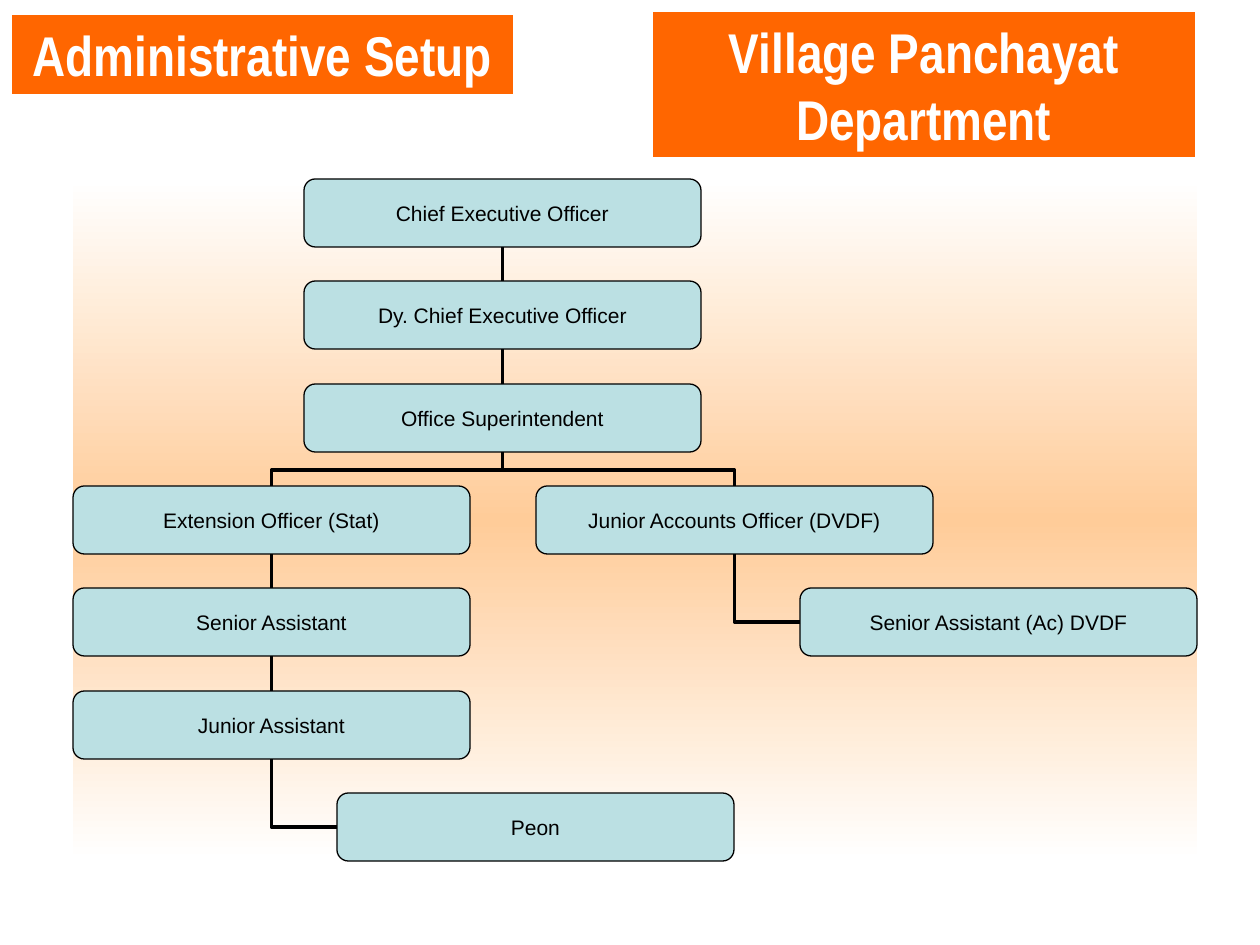
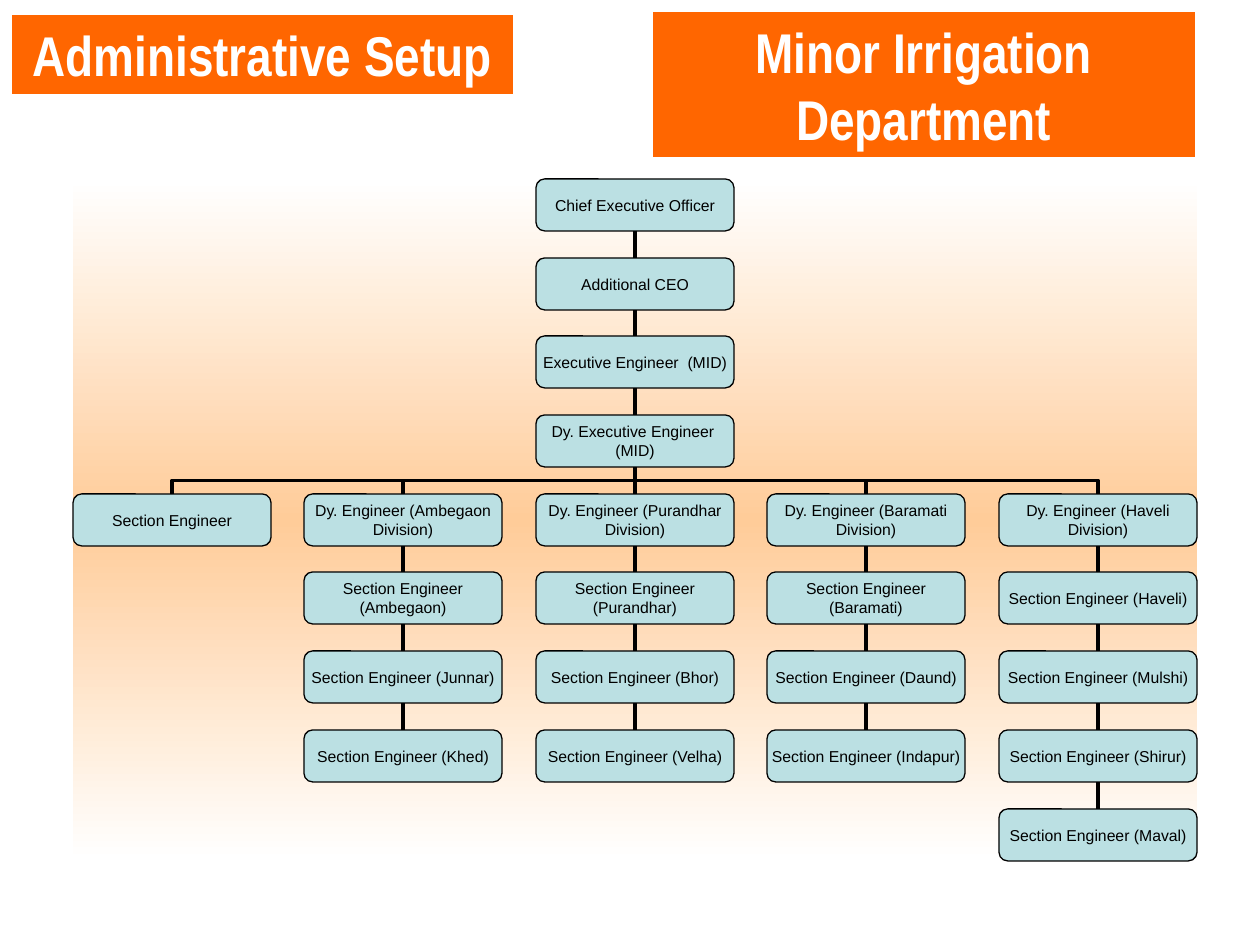
import copy
from dataclasses import dataclass

from lxml import etree
from pptx import Presentation, util as u
from pptx.dml.color import RGBColor
from pptx.enum import shapes, text
from pptx.oxml.ns import qn

PX_PER_INCH = 126
SLIDE_SIZE = (1260, 945)
ORANGE, PEACH, BLUE, WHITE, BLACK = "FF6600", "FFCC99", "BBE0E3", "FFFFFF", "000000"
SETUP_BOX = (11, 14, 503, 81)
DEPARTMENT_BOX = (652, 11, 544, 147)
CHART_BOX = (73, 179, 1124, 682)
CHART_UNITS = 17


@dataclass
class Post:
    """A post in a chart, with its left edge in chart units."""
    name: str
    column: float
    children: tuple = ()
    hangs: bool = False


def px(length):
    """Turn pixels into EMU."""
    return u.Inches(length / PX_PER_INCH)


def color(value):
    """Turn a hex string into a colour."""
    return RGBColor.from_string(value)


def paint(shape, fill, line, width):
    """Give a shape a plain fill and outline without shadow."""
    shape.fill.solid()
    shape.fill.fore_color.rgb = color(fill)
    shape.line.color.rgb = color(line)
    shape.line.width = u.Pt(width)


def write(shape, words, size, font="Arial", ink=BLACK, bold=False,
          anchor=text.MSO_ANCHOR.MIDDLE, insets=(0, 0)):
    """Write one centred paragraph in a shape."""
    frame = shape.text_frame
    frame.word_wrap = True
    frame.auto_size = text.MSO_AUTO_SIZE.NONE
    frame.vertical_anchor = anchor
    frame.margin_left = frame.margin_right = u.Inches(insets[0])
    frame.margin_top = frame.margin_bottom = u.Inches(insets[1])
    paragraph = frame.paragraphs[0]
    paragraph.alignment = text.PP_ALIGN.CENTER
    run = paragraph.add_run()
    run.text = words
    run.font.size = u.Pt(size)
    run.font.name = font
    run.font.bold = bold
    run.font.color.rgb = color(ink)


def add_box(slide, kind, box):
    """Add a preset shape without shadow."""
    shape = slide.shapes.add_shape(kind, *map(px, box))
    shape.shadow.inherit = False
    return shape


def format_banner(shape, words):
    """Format a shape as an orange heading band."""
    paint(shape, ORANGE, WHITE, 1)
    write(shape, words, 32, font="Arial Narrow", ink=WHITE, bold=True,
          anchor=text.MSO_ANCHOR.TOP, insets=(0.1, 0.05))


def add_panel(slide, box):
    """Add the panel that fades from white to peach and back."""
    panel = add_box(slide, shapes.MSO_SHAPE.RECTANGLE, box)
    panel.line.fill.background()
    panel.fill.gradient()
    panel.fill.gradient_angle = 90
    stop_list = panel.fill._xPr.find(".//" + qn("a:gsLst"))
    stop_list.append(copy.deepcopy(stop_list[0]))
    for stop, position, shade in zip(panel.fill.gradient_stops, (0, 0.5, 1), (WHITE, PEACH, WHITE)):
        stop.position = position
        stop.color.rgb = color(shade)


def add_line(slide, kind, begin, end):
    """Add a black connector between two points in EMU."""
    connector = slide.shapes.add_connector(kind, *map(round, (*begin, *end)))
    connector.line.color.rgb = color(BLACK)
    connector.line.width = u.Pt(2.25)
    etree.SubElement(connector._element.spPr, qn("a:effectLst"))
    return connector


def join(slide, parent, child, hangs, bend):
    """Join a parent's bottom to its child's top, or to the side of a hanging child."""
    parent_x, parent_y = parent.left + parent.width / 2, parent.top + parent.height
    child_x, child_y = child.left + child.width / 2, child.top
    elbow = shapes.MSO_CONNECTOR.ELBOW
    if hangs:
        connector = add_line(slide, elbow, (parent_x, parent_y),
                             (child.left, child.top + child.height / 2))
        connector._element.spPr.find(qn("a:prstGeom")).set("prst", "bentConnector2")
        connector.rotation = 180
    elif parent_x == child_x:
        connector = add_line(slide, shapes.MSO_CONNECTOR.STRAIGHT,
                             (child_x, child_y), (parent_x, parent_y))
        connector.begin_connect(child, 0)
        connector.end_connect(parent, 2)
    else:
        middle_x, middle_y = (parent_x + child_x) / 2, (parent_y + child_y) / 2
        side = 1 if child_x > parent_x else -1
        half_width = side * (child_y - parent_y) / 2
        half_height = abs(child_x - parent_x) / 2
        connector = add_line(slide, elbow, (middle_x + half_width, middle_y - half_height),
                             (middle_x - half_width, middle_y + half_height))
        connector.rotation = side * 90 % 360
        geometry = connector._element.spPr.find(qn("a:prstGeom"))
        etree.SubElement(geometry.find(qn("a:avLst")), qn("a:gd"),
                         name="adj1", fmla=f"val {round(bend * 100000)}")


def count_rows(post):
    """Count the levels from a post down."""
    return 1 + max(map(count_rows, post.children), default=0)


def add_chart_tree(slide, box, top_post, post_units, size, bend):
    """Fill a box with the panel and the tree of posts."""
    left, top, width, height = box
    unit_x, unit_y = width / CHART_UNITS, height / (3 * count_rows(top_post) - 1)

    def add_post(post, row):
        """Add a post and all posts below it."""
        shape = add_box(slide, shapes.MSO_SHAPE.ROUNDED_RECTANGLE,
                        (left + round(post.column * unit_x), top + round(3 * row * unit_y),
                         round(post_units * unit_x), round(2 * unit_y)))
        paint(shape, BLUE, BLACK, 0.75)
        write(shape, post.name, size)
        for child in post.children:
            join(slide, shape, add_post(child, row + 1), child.hangs, bend)
        return shape

    add_panel(slide, box)
    add_post(top_post, 0)


def chain(column, *names, children=()):
    """Stack posts in one column, with the given children under the last."""
    for name in reversed(names):
        children = (Post(name, column, children),)
    return children[0]


def add_department_slide(presentation, department, *chart):
    """Add a slide with two banners and a department's chart."""
    slide = presentation.slides.add_slide(presentation.slide_layouts[5])
    title = slide.shapes.title
    title.left, title.top, title.width, title.height = map(px, DEPARTMENT_BOX)
    format_banner(title, department)
    format_banner(add_box(slide, shapes.MSO_SHAPE.RECTANGLE, SETUP_BOX), "Administrative Setup")
    add_chart_tree(slide, CHART_BOX, *chart)


def village_posts():
    """Return the posts of the village department."""
    peon = Post("Peon", 4, hangs=True)
    accounts = Post("Senior Assistant (Ac) DVDF", 11, hangs=True)
    return chain(3.5, "Chief Executive Officer", "Dy. Chief Executive Officer",
                 "Office Superintendent", children=(
                     chain(0, "Extension Officer (Stat)", "Senior Assistant",
                           "Junior Assistant", children=(peon,)),
                     Post("Junior Accounts Officer (DVDF)", 7, (accounts,))))


def irrigation_posts():
    """Return the posts of the irrigation department."""
    divisions = (("Ambegaon", "Junnar", "Khed"), ("Purandhar", "Bhor", "Velha"),
                 ("Baramati", "Daund", "Indapur"), ("Haveli", "Mulshi", "Shirur", "Maval"))
    branches = [chain(3.5 * number, f"Dy. Engineer ({places[0]} Division)",
                      *(f"Section Engineer ({place})" for place in places))
                for number, places in enumerate(divisions, 1)]
    return chain(7, "Chief Executive Officer", "Additional CEO", "Executive Engineer  (MID)",
                 "Dy. Executive Engineer  (MID)",
                 children=(Post("Section Engineer", 0), *branches))


def main():
    """Build and save the presentation."""
    presentation = Presentation()
    presentation.slide_width, presentation.slide_height = map(px, SLIDE_SIZE)
    add_department_slide(presentation, "Village Panchayat Department", village_posts(), 6, 12, 0.46)
    add_department_slide(presentation, "Minor Irrigation Department", irrigation_posts(), 3, 9, 0.5)
    presentation.save("out.pptx")


if __name__ == "__main__":
    main()
